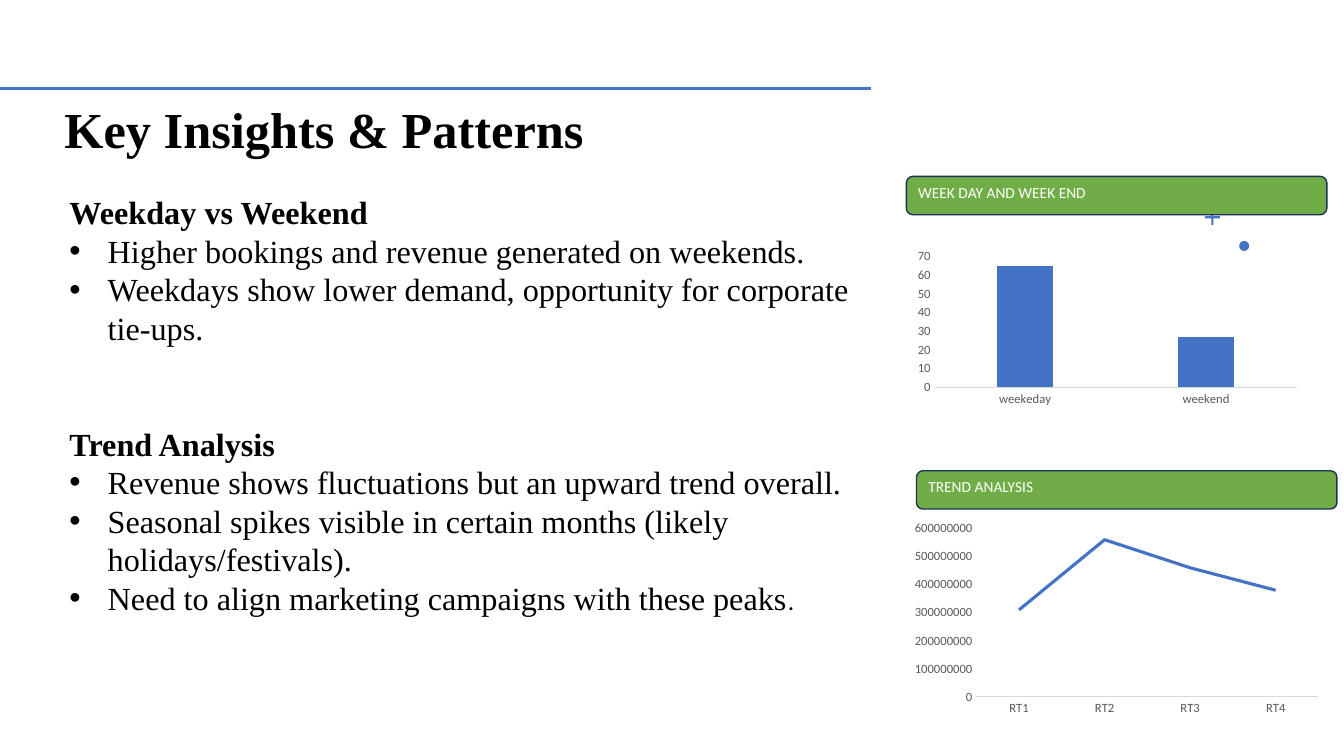
from dataclasses import dataclass
from lxml import etree
from pptx import Presentation
from pptx import util as u
from pptx.chart.data import CategoryChartData
from pptx.dml.color import RGBColor
from pptx.enum import chart as ch
from pptx.enum import shapes, text
from pptx.oxml import parse_xml
from pptx.oxml.ns import nsdecls, qn


@dataclass
class Theme:
    serif: str = "Times New Roman"
    sans: str = "Calibri"
    black: RGBColor = RGBColor(0x00, 0x00, 0x00)
    white: RGBColor = RGBColor(0xFF, 0xFF, 0xFF)
    blue: RGBColor = RGBColor(0x44, 0x72, 0xC4)
    green: RGBColor = RGBColor(0x70, 0xAD, 0x47)
    navy: RGBColor = RGBColor(0x1E, 0x32, 0x56)
    axis_text: RGBColor = RGBColor(0x59, 0x59, 0x59)
    axis_line: RGBColor = RGBColor(0xD9, 0xD9, 0xD9)
    title_size: int = 36
    body_size: int = 23
    stop_size: int = 18
    label_size: int = 11
    axis_size: int = 9


theme = Theme()


def style(font, name, size, color, bold=False):
    font.name, font.size, font.bold = name, u.Pt(size), bold
    font.color.rgb = color


def box(left, top, width, height):
    return [u.Inches(n) for n in (left, top, width, height)]


deck = Presentation()
deck.slide_width, deck.slide_height = u.Inches(13.33), u.Inches(7.5)
slide = deck.slides.add_slide(deck.slide_layouts[6])

# Title
title = slide.shapes.add_textbox(*box(0.54, 0.34, 7.56, 1.29)).text_frame
title.word_wrap = True
title.vertical_anchor = text.MSO_ANCHOR.BOTTOM
title.text = "Key Insights & Patterns"
title.paragraphs[0].line_spacing = 0.9
title.paragraphs[0].space_after = u.Pt(6)
style(title.paragraphs[0].runs[0].font, theme.serif, theme.title_size, theme.black, True)

# Rule above the title
rule = slide.shapes.add_connector(shapes.MSO_CONNECTOR.STRAIGHT, u.Inches(0), u.Inches(0.88),
                                  u.Inches(8.64), u.Inches(0.88))
rule.line.color.rgb = theme.blue
rule.line.width = u.Pt(2)
etree.SubElement(rule._element.spPr, qn("a:effectLst"))

# Insights: headings with bulleted findings
insights = {
    "Weekday vs Weekend": [
        "Higher bookings and revenue generated on weekends.",
        "Weekdays show lower demand, opportunity for corporate tie-ups.",
    ],
    "Trend Analysis": [
        "Revenue shows fluctuations but an upward trend overall.",
        "Seasonal spikes visible in certain months (likely holidays/festivals).",
        "Need to align marketing campaigns with these peaks",
    ],
}
body = slide.shapes.add_textbox(*box(0.59, 1.86, 8.22, 5.52)).text_frame
body.word_wrap = True
for number, (heading, findings) in enumerate(insights.items()):
    for position, line in enumerate([heading, *findings]):
        is_heading = position == 0
        paragraph = body.add_paragraph() if number or position else body.paragraphs[0]
        paragraph.text = line
        style(paragraph.runs[0].font, theme.serif, theme.body_size, theme.black, is_heading)
        if is_heading:
            paragraph.space_before = u.Pt(55 * number)
        else:
            props = paragraph._p.get_or_add_pPr()
            props.set("marL", str(u.Inches(0.38)))
            props.set("indent", str(u.Inches(-0.38)))
            etree.SubElement(props, qn("a:buFont")).set("typeface", "Arial")
            etree.SubElement(props, qn("a:buChar")).set("char", "•")
full_stop = paragraph.add_run()
full_stop.text = "."
style(full_stop.font, theme.sans, theme.stop_size, theme.black)

# Plus and dot accents
for preset, left, top, size in [(shapes.MSO_SHAPE.CROSS, 11.95, 2.08, 0.15),
                                (shapes.MSO_SHAPE.OVAL, 12.29, 2.39, 0.1)]:
    accent = slide.shapes.add_shape(preset, *box(left, top, size, size))
    accent.shadow.inherit = False
    accent.fill.solid()
    accent.fill.fore_color.rgb = theme.blue
    accent.line.fill.background()
    if preset == shapes.MSO_SHAPE.CROSS:
        accent.adjustments[0] = 0.43

# Charts with their green labels
panels = [
    ("WEEK DAY AND WEEK END", (8.99, 1.75), ch.XL_CHART_TYPE.COLUMN_CLUSTERED,
     (8.99, 2.12, 3.99, 2.13), {"weekeday": 65, "weekend": 27}, 70, 10),
    ("TREND ANALYSIS", (9.09, 4.67), ch.XL_CHART_TYPE.LINE,
     (8.99, 5.13, 4.17, 2.01),
     {"RT1": 310000000, "RT2": 560000000, "RT3": 460000000, "RT4": 380000000},
     600000000, 100000000),
]
for caption, corner, kind, area, values, top_value, step in panels:
    data = CategoryChartData()
    data.categories = list(values)
    data.add_series("Series 1", list(values.values()))
    chart = slide.shapes.add_chart(kind, *box(*area), data).chart
    chart.has_legend = chart.has_title = False
    style(chart.font, theme.sans, theme.axis_size, theme.axis_text)
    for axis in (chart.category_axis, chart.value_axis):
        axis.has_major_gridlines = False
        axis.major_tick_mark = axis.minor_tick_mark = ch.XL_TICK_MARK.NONE
        style(axis.tick_labels.font, theme.sans, theme.axis_size, theme.axis_text)
    chart.category_axis.format.line.color.rgb = theme.axis_line
    chart.category_axis.format.line.width = u.Pt(0.75)
    chart.value_axis.format.line.fill.background()
    chart.value_axis.minimum_scale = 0
    chart.value_axis.maximum_scale = top_value
    chart.value_axis.major_unit = step

    plot = chart.plots[0]
    plot.vary_by_categories = False
    series = plot.series[0]
    if kind == ch.XL_CHART_TYPE.LINE:
        series.smooth = False
        series.marker.style = ch.XL_MARKER_STYLE.NONE
        series.format.line.color.rgb = theme.blue
        series.format.line.width = u.Pt(2.25)
    else:
        plot.gap_width, plot.overlap = 219, -27
        series.format.fill.solid()
        series.format.fill.fore_color.rgb = theme.blue
        # Fixed inner plot area
        plot_area = chart._chartSpace.chart.plotArea
        for automatic in plot_area.findall(qn("c:layout")):
            plot_area.remove(automatic)
        frame = "".join(f'<c:{tag} val="{value}"/>' for tag, value in [
            ("layoutTarget", "inner"), ("xMode", "edge"), ("yMode", "edge"),
            ("x", 0.07), ("y", 0.2), ("w", 0.9), ("h", 0.61)])
        plot_area.insert(0, parse_xml(
            f'<c:layout {nsdecls("c")}><c:manualLayout>{frame}</c:manualLayout></c:layout>'))

    label = slide.shapes.add_shape(shapes.MSO_SHAPE.ROUNDED_RECTANGLE, *box(*corner, 4.17, 0.38))
    label.shadow.inherit = False
    label.fill.solid()
    label.fill.fore_color.rgb = theme.green
    label.line.color.rgb = theme.navy
    label.line.width = u.Pt(1)
    label.text_frame.word_wrap = True
    label.text_frame.vertical_anchor = text.MSO_ANCHOR.TOP
    label.text_frame.text = caption
    label.text_frame.paragraphs[0].alignment = text.PP_ALIGN.LEFT
    style(label.text_frame.paragraphs[0].runs[0].font, theme.sans, theme.label_size, theme.white)

deck.save("out.pptx")
